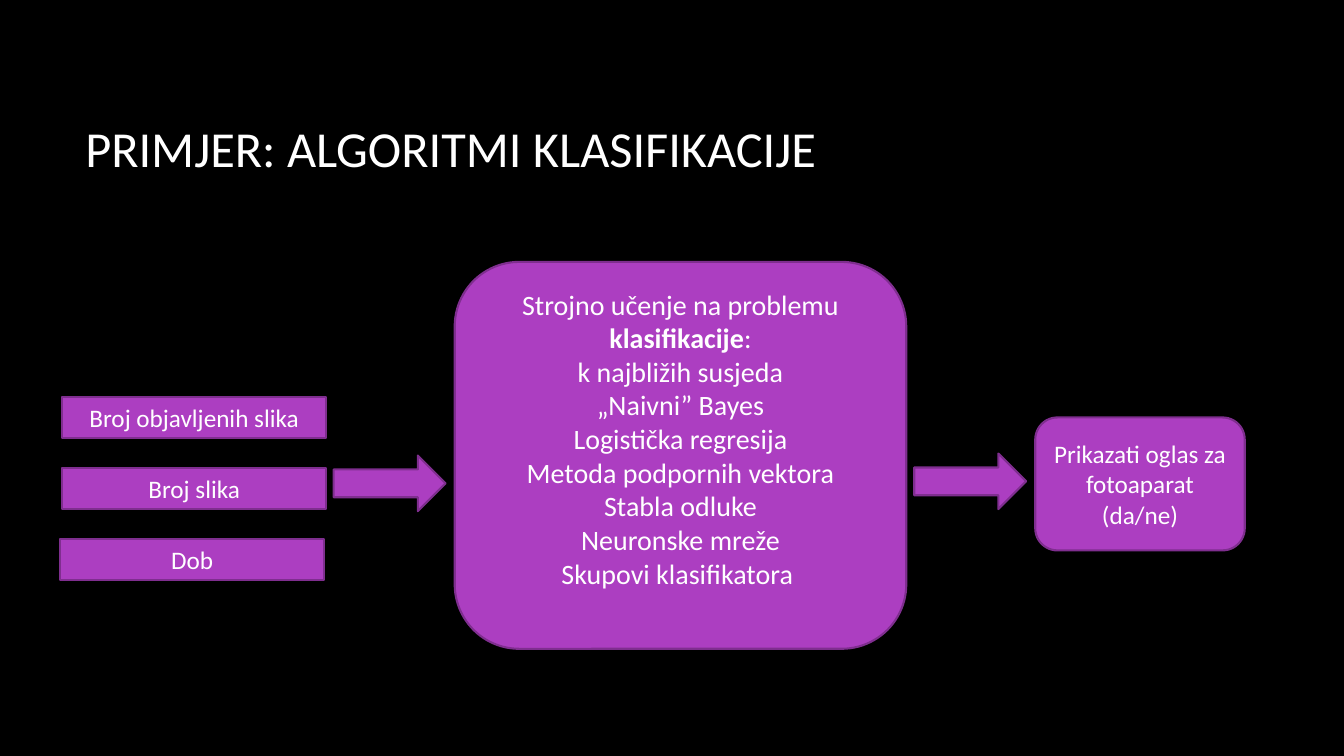
from pptx import Presentation
from pptx.dml.color import RGBColor
from pptx.enum.shapes import MSO_SHAPE
from pptx.enum.text import MSO_ANCHOR, PP_ALIGN
from pptx.util import Cm, Pt


def color(code):
    return RGBColor.from_string(code)


class Deck:
    font = "Calibri"
    back, ink, fill, edge = "000000", "FFFFFF", "AC3EC1", "7F2E8F"

    def __init__(self, width, height):
        self.show = Presentation()
        self.show.slide_width, self.show.slide_height = Cm(width), Cm(height)
        self.slide = self.show.slides.add_slide(self.show.slide_layouts[6])
        ground = self.slide.background.fill
        ground.solid()
        ground.fore_color.rgb = color(self.back)

    def label(self, shape, lines, size, align, foot=0.13):
        """Fill a shape with lines; each is a string or a list of (text, bold)."""
        frame = shape.text_frame
        layout = {"word_wrap": True, "vertical_anchor": MSO_ANCHOR.MIDDLE,
                  "margin_bottom": Cm(foot)}
        for name, value in layout.items():
            setattr(frame, name, value)
        for i, line in enumerate(lines):
            para = frame.add_paragraph() if i else frame.paragraphs[0]
            para.alignment = align
            for text, bold in [(line, False)] if isinstance(line, str) else line:
                run = para.add_run()
                run.text = text
                style = {"name": self.font, "size": Pt(size), "bold": bold}
                for name, value in style.items():
                    setattr(run.font, name, value)
                run.font.color.rgb = color(self.ink)

    def title(self, text, *place):
        box = self.slide.shapes.add_textbox(*map(Cm, place))
        self.label(box, [text], 36, PP_ALIGN.LEFT)

    def shape(self, kind, *place):
        item = self.slide.shapes.add_shape(kind, *map(Cm, place))
        item.shadow.inherit = False
        item.fill.solid()
        item.fill.fore_color.rgb = color(self.fill)
        item.line.color.rgb = color(self.edge)
        item.line.width = Pt(1.5)
        return item

    def box(self, kind, lines, *place, size=18, foot=0.13):
        self.label(self.shape(kind, *place), lines, size, PP_ALIGN.CENTER, foot)

    def arrow(self, left, top):
        self.shape(MSO_SHAPE.RIGHT_ARROW, left, top, 2.82, 1.4)


def main():
    deck = Deck(33.87, 19.05)
    deck.title("PRIMJER: ALGORITMI KLASIFIKACIJE", 1.9, 1.7, 28.14, 4.04)

    methods = [
        [("Strojno učenje na problemu ", False), ("klasifikacije", True), (":", False)],
        "k najbližih susjeda",
        "„Naivni” Bayes",
        "Logistička regresija",
        "Metoda podpornih vektora",
        "Stabla odluke",
        "Neuronske mreže",
        "Skupovi klasifikatora ",
    ]
    deck.box(MSO_SHAPE.ROUNDED_RECTANGLE, methods, 11.46, 6.6, 11.38, 9.75,
             size=20, foot=0.98)

    deck.arrow(8.41, 11.48)
    deck.arrow(23.04, 11.43)

    inputs = [("Broj objavljenih slika", 1.57), ("Broj slika", 1.57), ("Dob", 1.52)]
    for i, (text, left) in enumerate(inputs):
        deck.box(MSO_SHAPE.RECTANGLE, [text], left, 10.01 + i * 1.79, 6.65, 1.02)

    deck.box(MSO_SHAPE.ROUNDED_RECTANGLE, ["Prikazati oglas za fotoaparat", "(da/ne)"],
             26.09, 10.52, 5.28, 3.35)
    deck.show.save("out.pptx")


if __name__ == "__main__":
    main()
